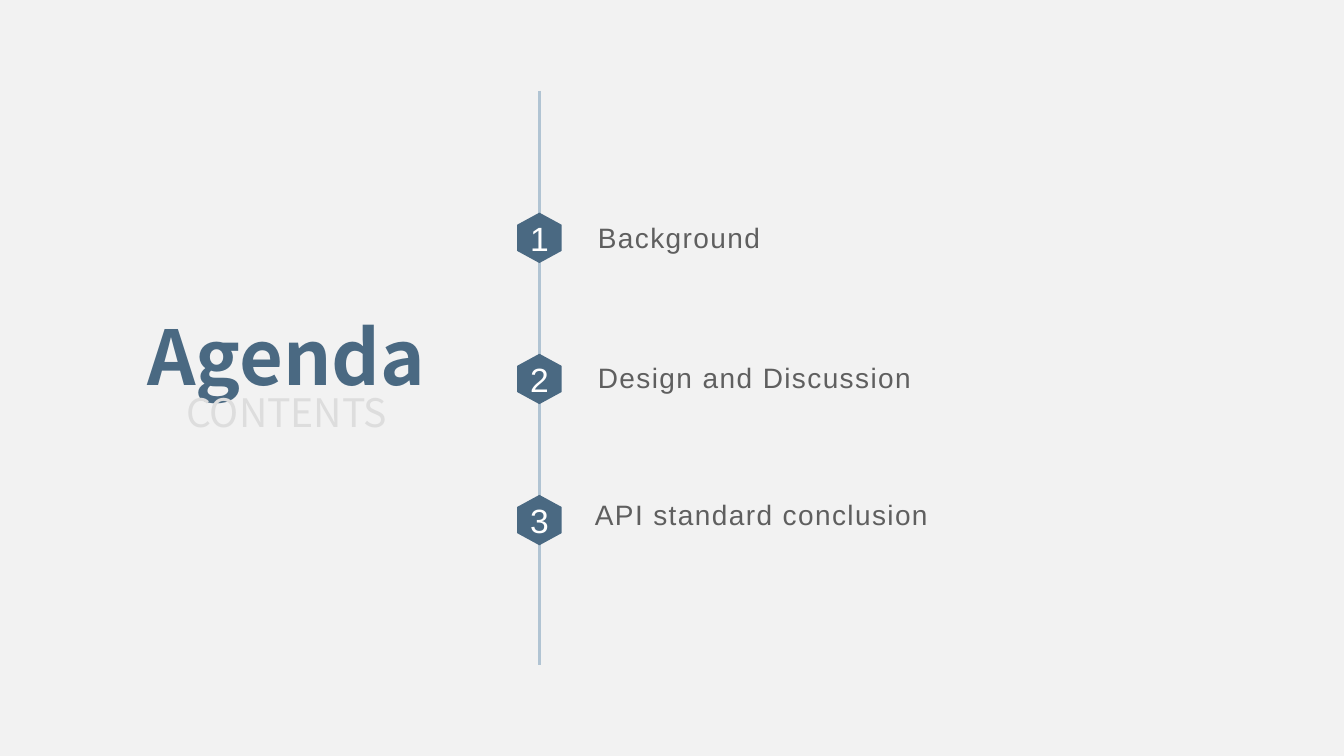
from lxml import etree
from pptx import Presentation
from pptx import util as u
from pptx.dml.color import RGBColor
from pptx.enum import shapes, text
from pptx.oxml.ns import qn

NAVY, PALE_BLUE, GRAY, LIGHT_GRAY = "4A6982", "B1C4D3", "5F5F5F", "DDDDDD"
SPINE_X = 5.35


def color(value):
    return RGBColor.from_string(value)


def write(shape, words, size, fill, font="Arial", bold=False, spacing=0,
          align=text.PP_ALIGN.LEFT, wrap=True, insets=(0.1, 0.1)):
    frame = shape.text_frame
    frame.word_wrap = wrap
    frame.auto_size = text.MSO_AUTO_SIZE.NONE
    frame.vertical_anchor = text.MSO_ANCHOR.MIDDLE
    frame.margin_left, frame.margin_right = map(u.Inches, insets)
    frame.margin_top = frame.margin_bottom = u.Inches(0.05)
    para = frame.paragraphs[0]
    para.alignment = align
    span = para.add_run()
    span.text = words
    span.font.name, span.font.size, span.font.bold = font, u.Pt(size), bold
    span.font.color.rgb = color(fill)
    if spacing:
        span._r.get_or_add_rPr().set("spc", str(spacing * 100))


class AgendaPage:
    heading_font = "Noto Sans CJK SC"

    def __init__(self, deck):
        self.page = deck.slides.add_slide(deck.slide_layouts[5])
        self.page.background.fill.solid()
        self.page.background.fill.fore_color.rgb = color("F2F2F2")

    def heading(self, words):
        title = self.page.shapes.title
        title.left, title.top = u.Inches(1.24), u.Inches(3.09)
        title.width, title.height = u.Inches(3.2), u.Inches(0.86)
        write(title, words, 54, NAVY, font=self.heading_font, bold=True,
              align=text.PP_ALIGN.CENTER)

    def label(self, words, left, top, width, height, size, fill, **style):
        box = self.page.shapes.add_textbox(
            *map(u.Inches, (left, top, width, height)))
        write(box, words, size, fill, **style)

    def spine(self, top, bottom):
        line = self.page.shapes.add_connector(
            shapes.MSO_CONNECTOR.STRAIGHT, u.Inches(SPINE_X), u.Inches(top),
            u.Inches(SPINE_X), u.Inches(bottom))
        line.line.color.rgb = color(PALE_BLUE)
        line.line.width = u.Pt(2)
        etree.SubElement(line._element.spPr, qn("a:effectLst"))

    def hexagon(self, words, middle):
        corners = [(0, -0.25), (0.22, -0.13), (0.22, 0.13),
                   (0, 0.25), (-0.22, 0.13), (-0.22, -0.13)]
        points = [(u.Inches(SPINE_X + x), u.Inches(middle + y))
                  for x, y in corners]
        builder = self.page.shapes.build_freeform(*points[0], scale=1.0)
        builder.add_line_segments(points[1:], close=True)
        badge = builder.convert_to_shape()
        badge.shadow.inherit = False
        badge.fill.solid()
        badge.fill.fore_color.rgb = color(NAVY)
        badge.line.fill.background()
        write(badge, words, 24, "FFFFFF", align=text.PP_ALIGN.CENTER,
              insets=(0, 0))


def main():
    deck = Presentation()
    deck.slide_width, deck.slide_height = u.Inches(13.33), u.Inches(7.5)
    agenda = AgendaPage(deck)
    agenda.heading("Agenda")
    agenda.label("CONTENTS", 1.88, 3.66, 1.93, 0.86, 28, LIGHT_GRAY,
                 font=agenda.heading_font, align=text.PP_ALIGN.CENTER,
                 wrap=False)
    agenda.spine(0.9, 6.6)
    topics = [("Background", 5.73, 2.06), ("Design and Discussion", 5.73, 3.45),
              ("API standard conclusion", 5.7, 4.81)]
    for index, (topic, left, top) in enumerate(topics):
        agenda.label(topic, left, top, 5.57, 0.59, 20, GRAY,
                     spacing=1, insets=(0.2, 0.1))
        agenda.hexagon(str(index + 1), 2.36 + 1.4 * index)
    deck.save("out.pptx")


if __name__ == "__main__":
    main()
